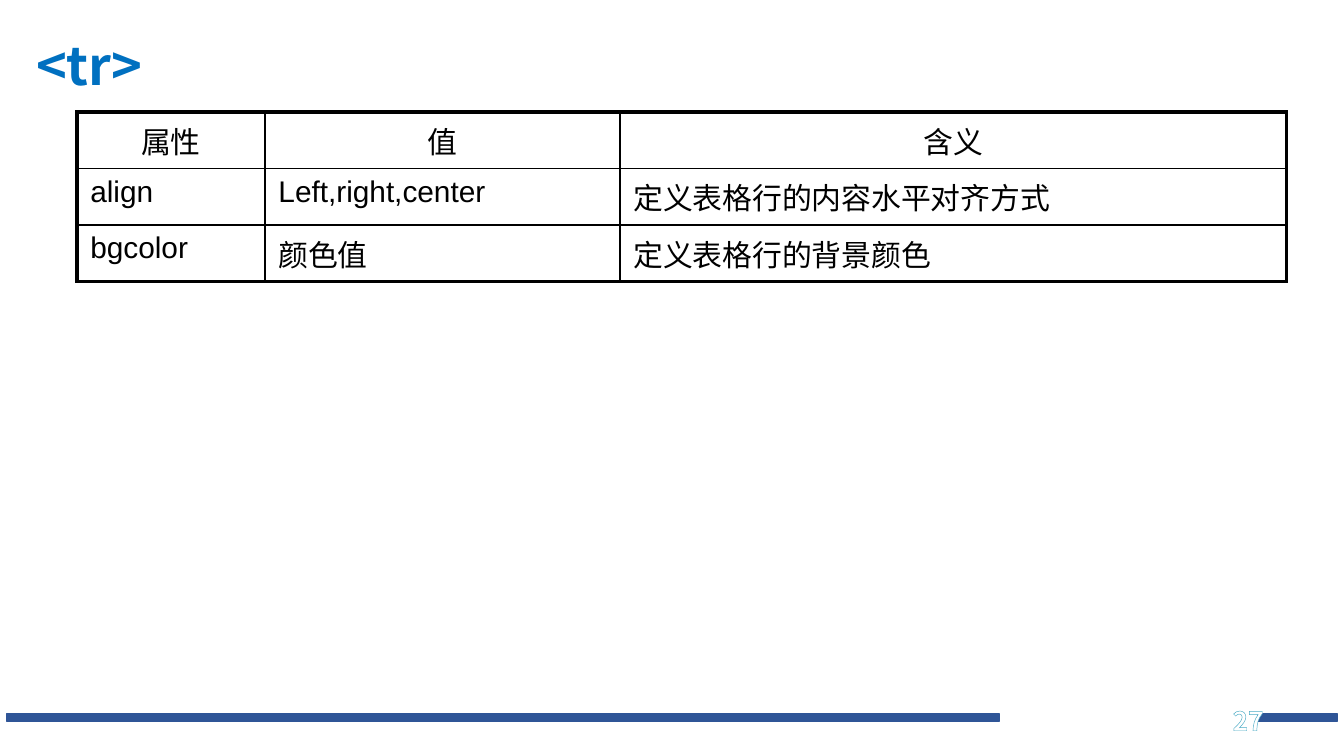
from dataclasses import dataclass

from lxml.etree import SubElement
from pptx import Presentation
from pptx.dml.color import RGBColor
from pptx.enum.dml import MSO_PATTERN
from pptx.enum.shapes import MSO_SHAPE
from pptx.enum.text import MSO_ANCHOR, PP_ALIGN
from pptx.oxml import parse_xml
from pptx.oxml.ns import nsdecls, qn
from pptx.slide import Slide
from pptx.table import _Cell as Cell
from pptx.text.text import _Run as Run
from pptx.util import Pt


@dataclass(frozen=True)
class Theme:
    bar: str = "2F5597"
    heading: str = "0070C0"
    ink: str = "000000"
    number: str = "93CDDD"
    number_outline: str = "4BACC6"
    paper: str = "FFFFFF"
    heading_font: str = "Noto Sans CJK SC"
    body_font: str = "Arial"
    heading_size: float = 28
    body_size: float = 16
    number_size: float = 14
    outer_border: float = 2.25
    inner_border: float = 1


@dataclass(frozen=True)
class Box:
    left: float
    top: float
    width: float
    height: float

    def lengths(self) -> tuple[Pt, Pt, Pt, Pt]:
        return Pt(self.left), Pt(self.top), Pt(self.width), Pt(self.height)


THEME = Theme()
FOOTER_BARS = [Box(3.6, 382.3, 531.4, 4.3), Box(673.9, 382.3, 42.5, 4.3)]
HEADING_BOX = Box(12.2, 0.7, 648, 67.7)
NUMBER_BOX = Box(516.2, 375.1, 167.8, 21.6)
TABLE_BOX = Box(41.2, 60, 648, 87)
COLUMN_WIDTHS = [100.8, 190.1, 357.1]
ATTRIBUTES = [
    ("属性", "值", "含义"),
    ("align", "Left,right,center", "定义表格行的内容水平对齐方式"),
    ("bgcolor", "颜色值", "定义表格行的背景颜色"),
]


def format_run(run: Run, font: str, size: float, bold: bool = False) -> None:
    formats = {"name": font, "size": Pt(size), "bold": bold}
    for attribute, value in formats.items():
        setattr(run.font, attribute, value)
    SubElement(run.font._element, qn("a:ea"), typeface=THEME.heading_font)


def border_xml(side: str, width: float) -> str:
    return (
        f'<a:ln{side} {nsdecls("a")} w="{Pt(width)}"><a:solidFill>'
        f'<a:srgbClr val="{THEME.ink}"/></a:solidFill></a:ln{side}>'
    )


def draw_bar(slide: Slide, box: Box) -> None:
    bar = slide.shapes.add_shape(MSO_SHAPE.RECTANGLE, *box.lengths())
    bar.shadow.inherit = False
    bar.fill.solid()
    bar.fill.fore_color.rgb = RGBColor.from_string(THEME.bar)
    bar.line.color.rgb = RGBColor.from_string(THEME.bar)
    bar.line.width = Pt(1)


def draw_heading(slide: Slide, text: str) -> None:
    heading = slide.shapes.title
    for side, length in zip(("left", "top", "width", "height"), HEADING_BOX.lengths()):
        setattr(heading, side, length)
    heading.text_frame.vertical_anchor = MSO_ANCHOR.MIDDLE
    paragraph = heading.text_frame.paragraphs[0]
    paragraph.alignment = PP_ALIGN.LEFT
    run = paragraph.add_run()
    run.text = text
    format_run(run, THEME.heading_font, THEME.heading_size, True)
    run.font.color.rgb = RGBColor.from_string(THEME.heading)


def fill_cell(cell: Cell, text: str, centred: bool, outer_sides: dict[str, bool]) -> None:
    cell.fill.background()
    for position, (side, outer) in enumerate(outer_sides.items()):
        width = THEME.outer_border if outer else THEME.inner_border
        cell._tc.tcPr.insert(position, parse_xml(border_xml(side, width)))
    paragraph = cell.text_frame.paragraphs[0]
    paragraph.alignment = PP_ALIGN.CENTER if centred else PP_ALIGN.LEFT
    run = paragraph.add_run()
    run.text = text
    format_run(run, THEME.body_font, THEME.body_size)
    run.font.color.rgb = RGBColor.from_string(THEME.ink)


def draw_attributes(slide: Slide) -> None:
    last_row, last_column = len(ATTRIBUTES) - 1, len(COLUMN_WIDTHS) - 1
    table = slide.shapes.add_table(
        len(ATTRIBUTES), len(COLUMN_WIDTHS), *TABLE_BOX.lengths()
    ).table
    table.first_row = table.horz_banding = False
    for column, width in zip(table.columns, COLUMN_WIDTHS):
        column.width = Pt(width)
    for r, texts in enumerate(ATTRIBUTES):
        for c, text in enumerate(texts):
            outer_sides = {
                "L": c == 0,
                "R": c == last_column,
                "T": r == 0,
                "B": r == last_row,
            }
            fill_cell(table.cell(r, c), text, r == 0, outer_sides)


def draw_page_number(slide: Slide, number: str) -> None:
    frame = slide.shapes.add_textbox(*NUMBER_BOX.lengths()).text_frame
    frame.word_wrap = True
    frame.vertical_anchor = MSO_ANCHOR.MIDDLE
    paragraph = frame.paragraphs[0]
    paragraph.alignment = PP_ALIGN.RIGHT
    run = paragraph.add_run()
    run.text = number
    format_run(run, THEME.heading_font, THEME.number_size, True)
    fill = run.font.fill
    fill.patterned()
    fill.pattern = MSO_PATTERN.LIGHT_DOWNWARD_DIAGONAL
    fill.fore_color.rgb = RGBColor.from_string(THEME.number)
    fill.back_color.rgb = RGBColor.from_string(THEME.paper)
    outline = (
        f'<a:ln {nsdecls("a")} w="{Pt(1)}"><a:solidFill>'
        f'<a:srgbClr val="{THEME.number_outline}"/></a:solidFill></a:ln>'
    )
    run.font._element.insert(0, parse_xml(outline))


def main() -> None:
    presentation = Presentation()
    presentation.slide_width, presentation.slide_height = Pt(720), Pt(405)
    slide = presentation.slides.add_slide(presentation.slide_layouts[5])
    for box in FOOTER_BARS:
        draw_bar(slide, box)
    draw_heading(slide, "<tr>")
    draw_attributes(slide)
    draw_page_number(slide, "27")
    presentation.save("out.pptx")


if __name__ == "__main__":
    main()
